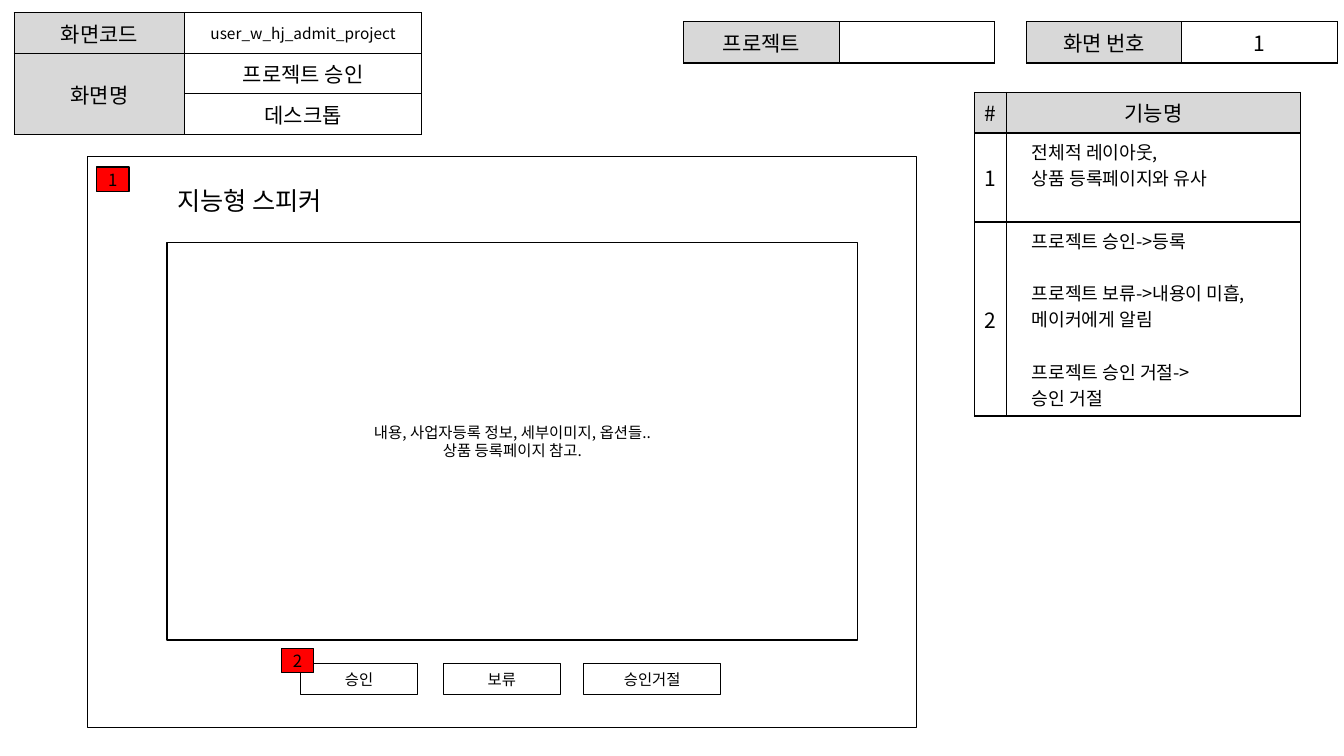
import dataclasses

import pptx
import pptx.dml.color
import pptx.enum.shapes
import pptx.enum.text
import pptx.oxml
import pptx.oxml.ns
import pptx.util
from lxml import etree

ALIGN = pptx.enum.text.PP_ALIGN
ANCHOR = pptx.enum.text.MSO_ANCHOR
RECTANGLE = pptx.enum.shapes.MSO_SHAPE.RECTANGLE


@dataclasses.dataclass(frozen=True)
class Theme:
    font: str = "Noto Sans CJK KR"
    ink: str = "000000"
    paper: str = "FFFFFF"
    header: str = "D8D8D8"
    marker: str = "FF0000"
    heading: int = 18
    label: int = 15
    detail: int = 13
    badge: int = 12
    small: int = 11
    line: int = 1
    gap: float = 18.8
    indent: float = 0.15


def color(code):
    return pptx.dml.color.RGBColor.from_string(code)


class Wireframe:
    """Draws wireframe parts on a 160 by 90 grid with one theme."""

    def __init__(self, deck, theme):
        self.theme = theme
        self.column = deck.slide_width / 160
        self.row = deck.slide_height / 90
        self.page = deck.slides.add_slide(deck.slide_layouts[5])

    def place(self, left, top, width, height):
        return (round(left * self.column), round(top * self.row),
                round(width * self.column), round(height * self.row))

    def style(self, para, size, align):
        para.alignment = align
        para.font.size = pptx.util.Pt(size)
        para.font.name = self.theme.font
        para.font.color.rgb = color(self.theme.ink)
        defaults = para._p.pPr.find(pptx.oxml.ns.qn("a:defRPr"))
        etree.SubElement(defaults, pptx.oxml.ns.qn("a:ea"), typeface=self.theme.font)

    def fill_text(self, frame, text, size, align=ALIGN.CENTER):
        frame.text = text
        for para in frame.paragraphs:
            self.style(para, size, align)

    def title(self, text, *area):
        box = self.page.shapes.title
        box.left, box.top, box.width, box.height = self.place(*area)
        frame = box.text_frame
        frame.auto_size = pptx.enum.text.MSO_AUTO_SIZE.NONE
        frame.vertical_anchor = ANCHOR.MIDDLE
        self.fill_text(frame, text, self.theme.heading, ALIGN.LEFT)

    def box(self, text, *area, size=None, fill=None):
        shape = self.page.shapes.add_shape(RECTANGLE, *self.place(*area))
        shape.shadow.inherit = False
        if fill:
            shape.fill.solid()
            shape.fill.fore_color.rgb = color(fill)
        else:
            shape.fill.background()
        shape.line.color.rgb = color(self.theme.ink)
        shape.line.width = pptx.util.Pt(self.theme.line)
        shape.text_frame.vertical_anchor = ANCHOR.MIDDLE
        self.fill_text(shape.text_frame, text, size or self.theme.small)

    def badge(self, number, left, top):
        self.box(number, left, top, 3.84, 2.9, size=self.theme.badge, fill=self.theme.marker)

    def border(self, cell):
        properties = cell._tc.get_or_add_tcPr()
        for side in ("lnL", "lnR", "lnT", "lnB"):
            properties.append(pptx.oxml.parse_xml(
                f'<a:{side} {pptx.oxml.ns.nsdecls("a")} w="{pptx.util.Pt(self.theme.line)}">'
                f'<a:solidFill><a:srgbClr val="{self.theme.ink}"/></a:solidFill></a:{side}>'))

    def table(self, left, top, columns, rows, texts, headers):
        area = self.place(left, top, sum(columns), sum(rows))
        table = self.page.shapes.add_table(len(rows), len(columns), *area).table
        table.first_row = table.horz_banding = False
        for index, width in enumerate(columns):
            table.columns[index].width = round(width * self.column)
        for index, height in enumerate(rows):
            table.rows[index].height = round(height * self.row)
            for place, text in enumerate(texts[index]):
                cell = table.cell(index, place)
                self.border(cell)
                cell.fill.solid()
                shaded = (index, place) in headers
                cell.fill.fore_color.rgb = color(self.theme.header if shaded else self.theme.paper)
                cell.vertical_anchor = ANCHOR.MIDDLE
                self.fill_text(cell.text_frame, text, self.theme.label)
        return table

    def details(self, cell, groups):
        cell.vertical_anchor = ANCHOR.TOP
        self.fill_text(cell.text_frame, "\n".join("\n".join(group) for group in groups),
                       self.theme.detail, ALIGN.LEFT)
        starts = {sum(map(len, groups[:index])) for index in range(1, len(groups))}
        for index, para in enumerate(cell.text_frame.paragraphs):
            para._p.pPr.set("marL", str(pptx.util.Inches(self.theme.indent)))
            if index in starts:
                para.space_before = pptx.util.Pt(self.theme.gap)


def main():
    deck = pptx.Presentation()
    deck.slide_width = pptx.util.Inches(13.33)
    deck.slide_height = pptx.util.Inches(7.5)
    theme = Theme()
    page = Wireframe(deck, theme)

    page.title("지능형 스피커", 19.9, 21.4, 79.2, 4.8)
    screen = page.table(
        1.7, 1.5, [20.3, 28.2], [4.84] * 3,
        [["화면코드", "user_w_hj_admit_project"], ["화면명", "프로젝트 승인"], ["", "데스크톱"]],
        {(0, 0), (1, 0), (2, 0)})
    screen.cell(1, 0).merge(screen.cell(2, 0))
    page.fill_text(screen.cell(0, 1).text_frame, "user_w_hj_admit_project", theme.small)
    for left, label, value in ((122.2, "화면 번호", "1"), (81.4, "프로젝트", "")):
        page.table(left, 2.6, [18.5, 18.5], [4.9], [[label, value]], {(0, 0)})

    features = page.table(
        116, 11, [3.84, 35], [4.84, 10.6, 23.1],
        [["#", "기능명"], ["1", ""], ["2", ""]], {(0, 0), (0, 1)})
    page.details(features.cell(1, 1), [["전체적 레이아웃,", "상품 등록페이지와 유사"]])
    page.details(features.cell(2, 1), [
        ["프로젝트 승인->등록"],
        ["프로젝트 보류->내용이 미흡, 메이커에게 알림"],
        ["프로젝트 승인 거절->", "승인 거절"]])

    page.badge("1", 11.5, 19.9)
    page.box("", 10.4, 18.6, 98.7, 68)
    page.box("내용, 사업자등록 정보, 세부이미지, 옵션들..\n상품 등록페이지 참고.", 19.9, 28.9, 82.2, 47.3)
    for label, left, width in (("승인", 35.8, 13.9), ("보류", 52.8, 13.9), ("승인거절", 69.5, 16.3)):
        page.box(label, left, 79, width, 3.7)
    page.badge("2", 33.5, 77.2)
    deck.save("out.pptx")


if __name__ == "__main__":
    main()
